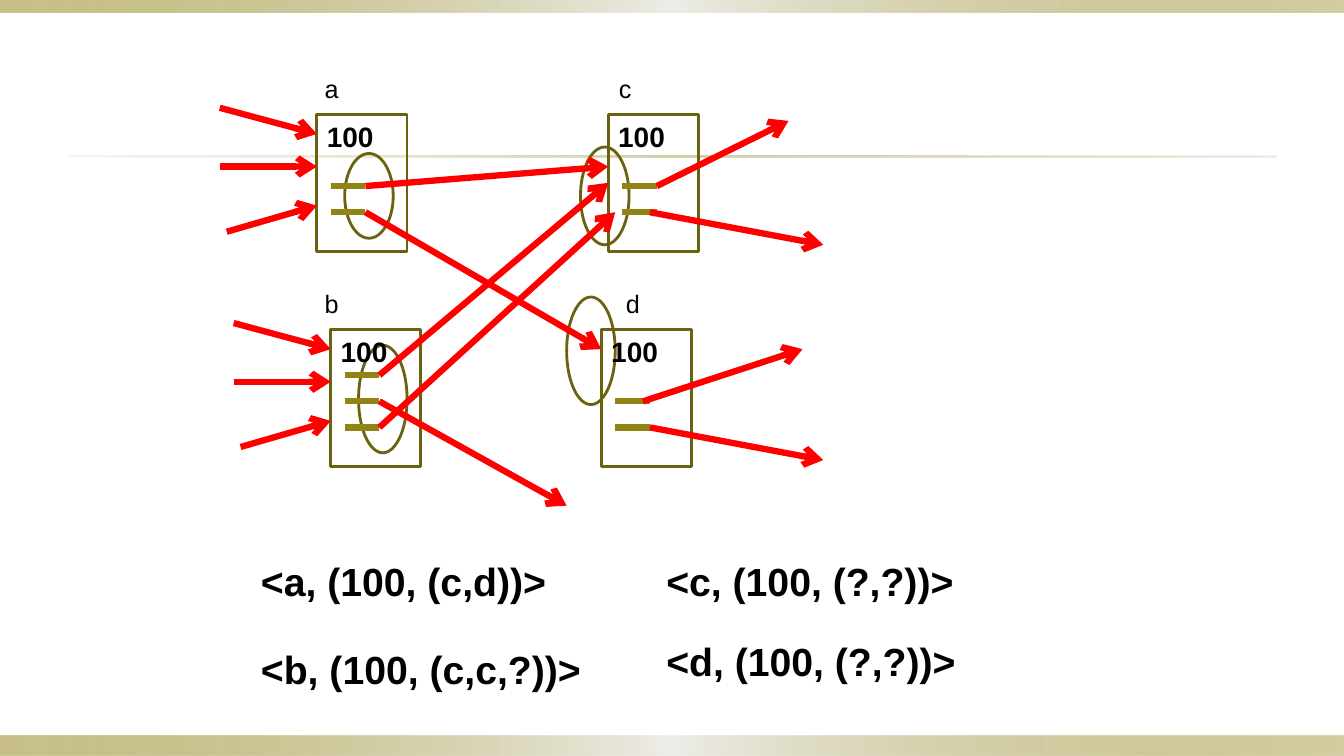
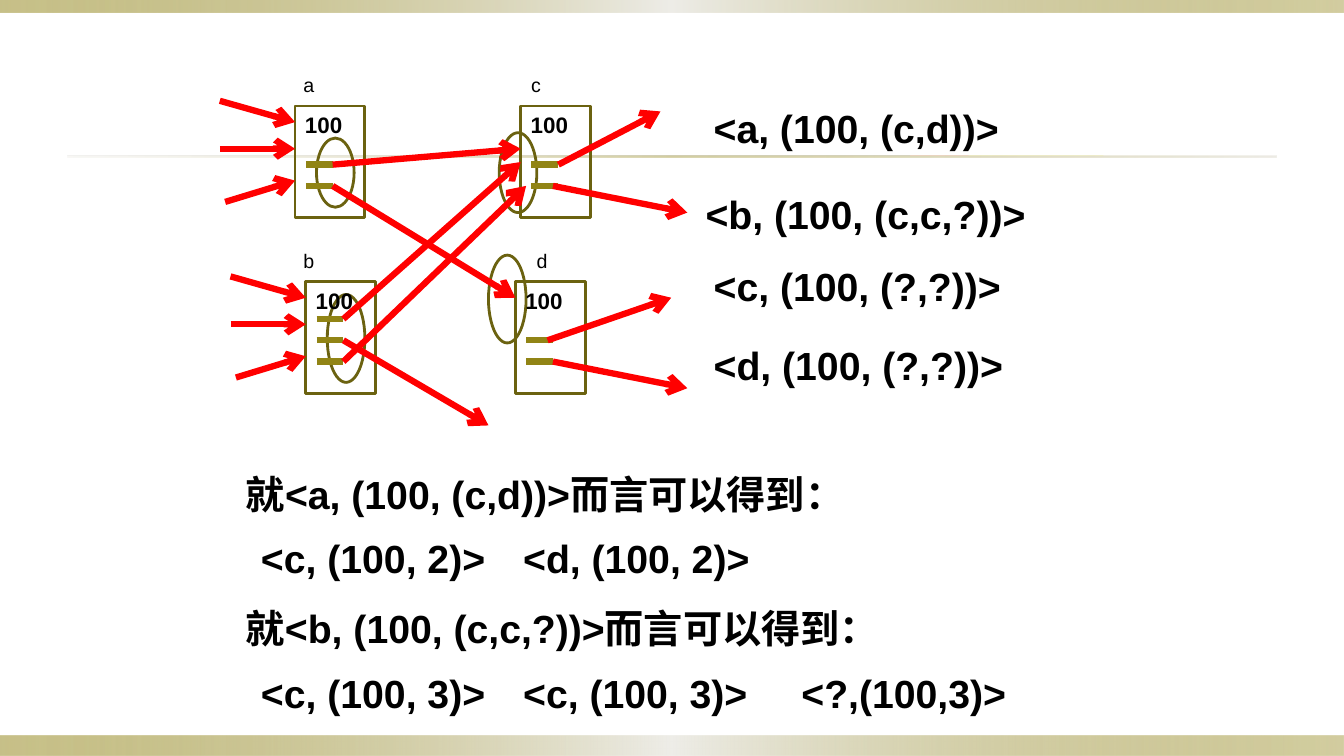
from dataclasses import dataclass
from typing import NamedTuple

from lxml import etree
from pptx import Presentation
from pptx import util as u
from pptx.dml.color import RGBColor
from pptx.enum import shapes, text
from pptx.oxml.ns import qn

WIDTH, HEIGHT = 13.33, 7.5
FONT = "Arial"
BLACK = RGBColor(0x00, 0x00, 0x00)
RED = RGBColor(0xFF, 0x00, 0x00)
OLIVE = RGBColor(0x91, 0x84, 0x15)
DARK_OLIVE = RGBColor(0x6B, 0x62, 0x10)
PALE = RGBColor(0xEE, 0xED, 0xE8)
SAND = RGBColor(0xDC, 0xD9, 0xCC)

BAND_STOPS = ((0, OLIVE, 50), (50, PALE, 100), (100, OLIVE, 40))
RULE_STOPS = ((0, SAND, 20), (50, OLIVE, 40), (100, SAND, 50))


class Band(NamedTuple):
    left: float
    top: float
    width: float
    height: float
    stops: tuple


class Arrow(NamedTuple):
    col: float
    row: float
    to_col: float
    to_row: float


class Oval(NamedTuple):
    col: float
    row: float
    rows: float


class Node(NamedTuple):
    name: str
    col: float
    row: float
    label_col: float
    bar_rows: tuple
    has_inputs: bool


class Phrase(NamedTuple):
    words: str
    left: float
    top: float
    width: float


@dataclass(frozen=True)
class Grid:
    left: float
    top: float
    col_width: float
    row_height: float
    value_size: int
    label_size: int

    def x(self, col: float) -> float:
        return self.left + col * self.col_width

    def y(self, row: float) -> float:
        return self.top + row * self.row_height


BANDS = (
    Band(0, HEIGHT - 0.2, WIDTH, 0.2, BAND_STOPS),
    Band(0, 0, WIDTH, 0.12, BAND_STOPS),
    Band(WIDTH * 0.05, 1.54, WIDTH * 0.9, 0.02, RULE_STOPS),
)
NODE_COLS, NODE_ROWS = 13, 21
OVAL_COLS = 7
BAR_START, BAR_END = 2, 7
LABEL_RISE, LABEL_COLS = 7.1, 5.7
NODES = (
    Node("a", 14, 1, 13.7, (11, 15), True),
    Node("b", 16, 34, 13.7, (7, 11, 15), True),
    Node("c", 56, 1, 56.1, (11, 15), False),
    Node("d", 55, 34, 57.1, (11, 15), False),
)
INPUTS = (Arrow(-14, -1, 0, 3), Arrow(-14, 8, 0, 8), Arrow(-13, 18, 0, 14))
OVALS = (Oval(18, 7, 13), Oval(52, 6, 15), Oval(20, 36.4, 16.5), Oval(50, 29, 16.5))
LINKS = (
    Arrow(21, 12, 56, 9),
    Arrow(23, 41, 56, 11.5),
    Arrow(21, 16, 55, 37),
    Arrow(23, 49, 57, 16),
    Arrow(23, 45, 50, 61),
    Arrow(62, 49, 87, 54),
    Arrow(61, 45, 84, 37),
    Arrow(62, 16, 87, 21),
    Arrow(63, 12, 82, 2),
)

LARGE_GRID = Grid(2.18, 1.07, 0.0688, 0.0647, 20, 18)
SMALL_GRID = Grid(2.18, 1, 0.0533, 0.0528, 16, 14)
LARGE_PHRASES = (
    Phrase("<a, (100, (c,d))>", 2.49, 5.48, 3.07),
    Phrase("<b, (100, (c,c,?))>", 2.49, 6.35, 3.41),
    Phrase("<c, (100, (?,?))>", 6.51, 5.48, 3.09),
    Phrase("<d, (100, (?,?))>", 6.51, 6.27, 3.09),
)
SMALL_PHRASES = (
    Phrase("<a, (100, (c,d))>", 6.98, 0.99, 3.07),
    Phrase("<b, (100, (c,c,?))>", 6.9, 1.84, 3.41),
    Phrase("<c, (100, (?,?))>", 6.98, 2.55, 3.09),
    Phrase("<d, (100, (?,?))>", 6.98, 3.34, 3.09),
    Phrase("就<a, (100, (c,d))>而言可以得到：", 2.34, 4.62, 6.22),
    Phrase("<c, (100, 2)>", 2.49, 5.25, 2.45),
    Phrase("<d, (100, 2)>", 5.09, 5.25, 2.48),
    Phrase("就<b, (100, (c,c,?))>而言可以得到：", 2.34, 5.95, 6.57),
    Phrase("<c, (100, 3)>", 2.49, 6.59, 2.45),
    Phrase("<c, (100, 3)>", 5.09, 6.59, 2.45),
    Phrase("<?,(100,3)>", 7.85, 6.59, 2.29),
)


def add_text(target, words: str, left: float, top: float, width: float, *,
             size: int, bold: bool = False, wrap: bool = False) -> None:
    height = size / 60 + 0.1
    box = target.add_textbox(*map(u.Inches, (left, top, width, height)))
    frame = box.text_frame
    frame.word_wrap = wrap
    frame.auto_size = text.MSO_AUTO_SIZE.SHAPE_TO_FIT_TEXT
    span = frame.paragraphs[0].add_run()
    span.text = words
    span.font.name = FONT
    span.font.size = u.Pt(size)
    span.font.bold = bold
    span.font.color.rgb = BLACK


def add_outline(target, kind, grid: Grid, col: float, row: float,
                cols: float, rows: float) -> None:
    outline = target.add_shape(
        kind, u.Inches(grid.x(col)), u.Inches(grid.y(row)),
        u.Inches(cols * grid.col_width), u.Inches(rows * grid.row_height))
    outline.shadow.inherit = False
    outline.fill.background()
    outline.line.color.rgb = DARK_OLIVE
    outline.line.width = u.Pt(2)


def add_line(target, grid: Grid, course: Arrow, color: RGBColor, *,
             arrow: bool = False) -> None:
    line = target.add_connector(
        shapes.MSO_CONNECTOR.STRAIGHT,
        u.Inches(grid.x(course.col)), u.Inches(grid.y(course.row)),
        u.Inches(grid.x(course.to_col)), u.Inches(grid.y(course.to_row)))
    line.line.color.rgb = color
    line.line.width = u.Pt(4.5)
    if arrow:
        etree.SubElement(line.get_or_add_ln(), qn("a:tailEnd"), type="arrow")
    etree.SubElement(line.element.spPr, qn("a:effectLst"))


def add_band(target, band: Band):
    shape = target.add_shape(shapes.MSO_SHAPE.RECTANGLE, *map(u.Inches, band[:4]))
    shape.shadow.inherit = False
    shape.line.fill.background()
    shape.fill.gradient()
    shape.fill.gradient_angle = 0
    stop_list = shape.element.spPr.find(".//" + qn("a:gsLst"))
    for stop in list(stop_list):
        stop_list.remove(stop)
    for position, color, opacity in band.stops:
        stop = etree.SubElement(stop_list, qn("a:gs"), pos=str(position * 1000))
        tint = etree.SubElement(stop, qn("a:srgbClr"), val=str(color))
        etree.SubElement(tint, qn("a:alpha"), val=str(opacity * 1000))
    return shape


def decorate_layout(layout, page) -> None:
    for placeholder in list(layout.placeholders):
        layout.shapes.element.remove(placeholder.element)
    for band in [add_band(page.shapes, band) for band in BANDS]:
        layout.shapes.element.append(band.element)


def add_node(target, grid: Grid, node: Node) -> None:
    add_outline(target, shapes.MSO_SHAPE.RECTANGLE, grid,
                node.col, node.row, NODE_COLS, NODE_ROWS)
    for row in node.bar_rows:
        bar = Arrow(node.col + BAR_START, node.row + row,
                    node.col + BAR_END, node.row + row)
        add_line(target, grid, bar, OLIVE)
    if node.has_inputs:
        for entry in INPUTS:
            course = Arrow(node.col + entry.col, node.row + entry.row,
                           node.col + entry.to_col, node.row + entry.to_row)
            add_line(target, grid, course, RED, arrow=True)
    add_text(target, "100", grid.x(node.col), grid.y(node.row),
             0.22 + 0.0225 * grid.value_size, size=grid.value_size, bold=True)
    add_text(target, node.name, grid.x(node.label_col),
             grid.y(node.row - LABEL_RISE), LABEL_COLS * grid.col_width,
             size=grid.label_size, wrap=True)


def add_graph(page, grid: Grid) -> None:
    graph = page.shapes.add_group_shape().shapes
    for oval in OVALS:
        add_outline(graph, shapes.MSO_SHAPE.OVAL, grid,
                    oval.col, oval.row, OVAL_COLS, oval.rows)
    for node in NODES:
        add_node(graph, grid, node)
    for link in LINKS:
        add_line(graph, grid, link, RED, arrow=True)


def main() -> None:
    deck = Presentation()
    deck.slide_width, deck.slide_height = u.Inches(WIDTH), u.Inches(HEIGHT)
    blank = deck.slide_layouts[6]
    pages = [deck.slides.add_slide(blank) for _ in range(2)]
    decorate_layout(blank, pages[0])
    contents = ((LARGE_GRID, LARGE_PHRASES), (SMALL_GRID, SMALL_PHRASES))
    for page, (grid, phrases) in zip(pages, contents):
        add_graph(page, grid)
        for phrase in phrases:
            add_text(page.shapes, *phrase, size=28, bold=True)
    deck.save("out.pptx")


if __name__ == "__main__":
    main()
